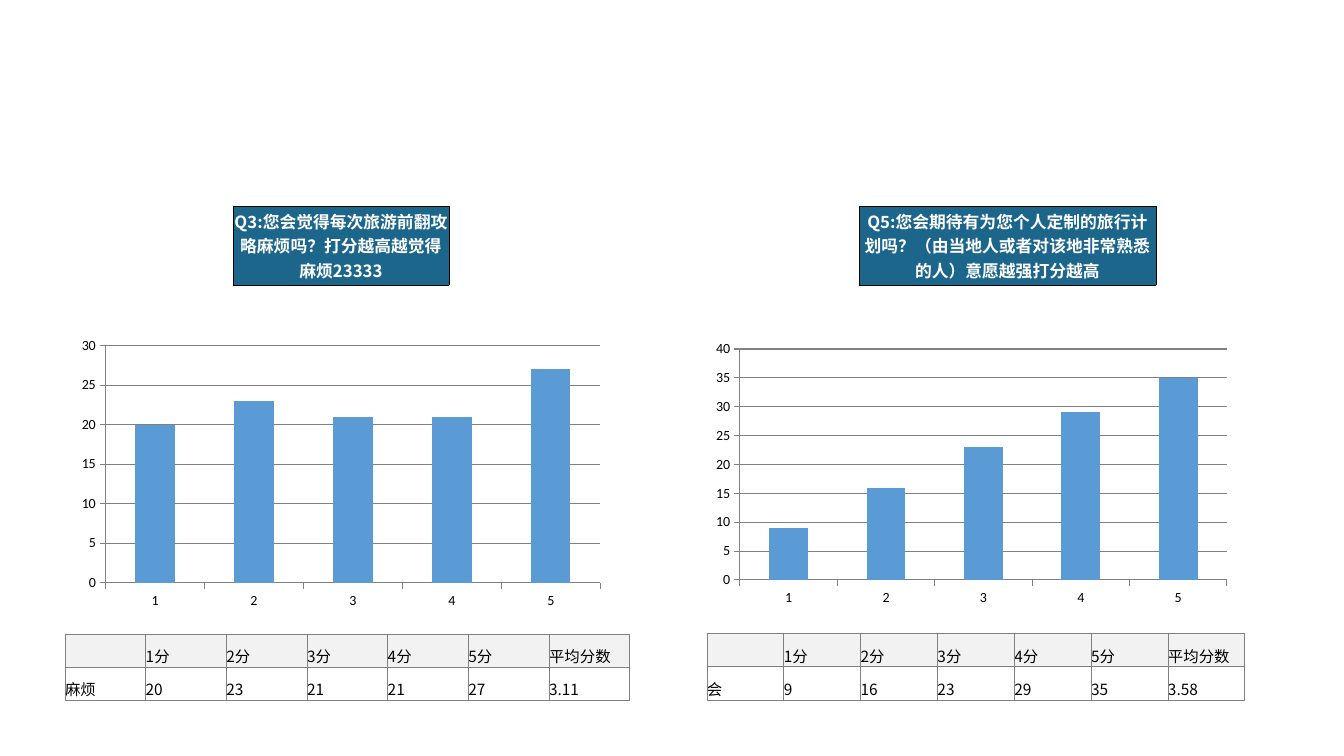
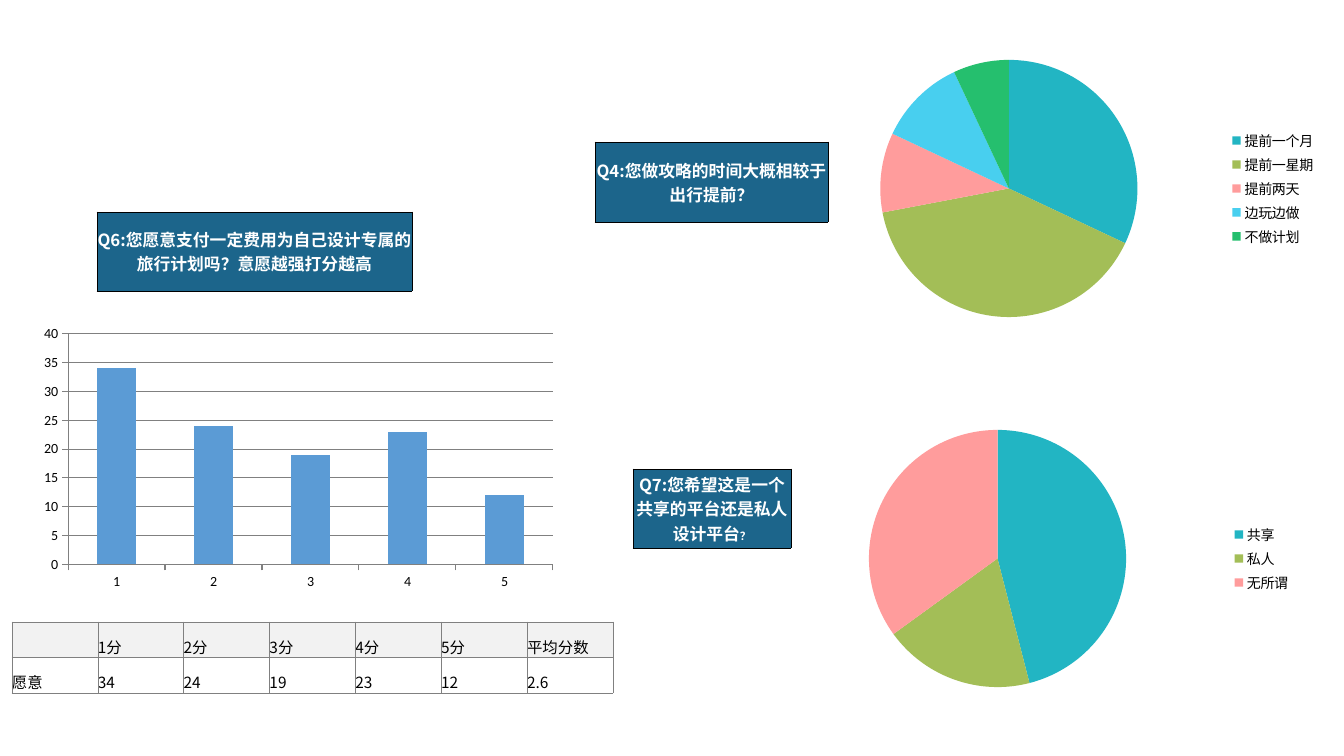
from dataclasses import dataclass
from typing import Optional

from lxml import etree
from pptx import Presentation
from pptx import util as u
from pptx.chart.data import CategoryChartData
from pptx.dml.color import RGBColor
from pptx.enum import chart as ch, text as tx
from pptx.oxml import ns

SCALE = 914400 / 100.8
SANS, LATIN = "Noto Sans CJK SC", "Calibri"
BLACK, WHITE, GRAY = "000000", "FFFFFF", "808080"
NAVY, PALE, BLUE = "1C658B", "F2F2F2", "5B9BD5"
SLICES = ["22B5C3", "A3BE57", "FF9C9C", "48CFEF", "25BF6E"]
HEADS = ["", "1分", "2分", "3分", "4分", "5分", "平均分数"]


@dataclass
class Box:
    """A rectangle in pixels."""
    x: int
    y: int
    w: int
    h: int


@dataclass
class Title:
    """A question in a filled box, with an optional small ending."""
    box: Box
    words: str
    tail: str = ""


@dataclass
class Score:
    """A question scored from 1 to 5: title, columns and table."""
    title: Title
    chart: Box
    grid: Box
    label: str
    votes: list[int]
    mean: str
    top: int
    plot: Optional[Box] = None


@dataclass
class Share:
    """A question answered by choice: title and pie."""
    title: Title
    chart: Box
    picks: dict[str, int]


SCORES = [
    [
        Score(Title(Box(233, 206, 216, 79),
                    "Q3:您会觉得每次旅游前翻攻略麻烦吗？打分越高越觉得麻烦23333"),
              Box(71, 332, 540, 282), Box(65, 634, 565, 66),
              "麻烦", [20, 23, 21, 21, 27], "3.11", 30),
        Score(Title(Box(859, 206, 297, 79),
                    "Q5:您会期待有为您个人定制的旅行计划吗？"
                    "（由当地人或者对该地非常熟悉的人）意愿越强打分越高"),
              Box(692, 321, 536, 285), Box(707, 633, 538, 67),
              "会", [9, 16, 23, 29, 35], "3.58", 40,
              Box(740, 349, 487, 231)),
    ],
    [
        Score(Title(Box(97, 212, 315, 79),
                    "Q6:您愿意支付一定费用为自己设计专属的旅行计划吗？意愿越强打分越高"),
              Box(44, 305, 536, 285), Box(12, 622, 601, 71),
              "愿意", [34, 24, 19, 23, 12], "2.6", 40,
              Box(68, 334, 485, 231)),
    ],
]
SHARES = [
    [],
    [
        Share(Title(Box(595, 142, 233, 80), "Q4:您做攻略的时间大概相较于出行提前？"),
              Box(790, 46, 536, 285),
              {"提前一个月": 32, "提前一星期": 40, "提前两天": 10,
               "边玩边做": 11, "不做计划": 7}),
        Share(Title(Box(633, 469, 158, 79),
                    "Q7:您希望这是一个共享的平台还是私人设计平台", "？"),
              Box(765, 416, 536, 285),
              {"共享": 46, "私人": 19, "无所谓": 35}),
    ],
]


def px(num: float) -> u.Emu:
    """Turn pixels into EMU."""
    return u.Emu(round(num * SCALE))


def place(box: Box) -> tuple:
    """Give left, top, width and height in EMU."""
    return px(box.x), px(box.y), px(box.w), px(box.h)


def tint(code: str) -> RGBColor:
    """Turn a hex string into a colour."""
    return RGBColor.from_string(code)


def style(run, size: float, code: str, bold: bool) -> None:
    """Format one run for both Latin and Chinese text."""
    font = run.font
    font.size, font.bold, font.name = u.Pt(size), bold, SANS
    font.color.rgb = tint(code)
    east = etree.SubElement(run._r.get_or_add_rPr(), ns.qn("a:ea"))
    east.set("typeface", SANS)


def edge(cell, code: str) -> None:
    """Draw a thin border on all four sides of a cell."""
    props = cell._tc.get_or_add_tcPr()
    for spot, side in enumerate("LRTB"):
        line = etree.Element(ns.qn(f"a:ln{side}"), w=str(u.Pt(0.5)))
        fill = etree.SubElement(line, ns.qn("a:solidFill"))
        etree.SubElement(fill, ns.qn("a:srgbClr"), val=code)
        props.insert(spot, line)


def add_grid(slide, box: Box, rows: int, cols: int):
    """Add a plain table with equal rows and columns."""
    table = slide.shapes.add_table(rows, cols, *place(box)).table
    table.first_row = table.horz_banding = False
    for row in table.rows:
        row.height = px(box.h / rows)
    for col in table.columns:
        col.width = px(box.w / cols)
    return table


def fill_cell(cell, words: str, back: Optional[str], line: str, anchor) -> None:
    """Set the text, fill, border and margins of a cell."""
    cell.margin_left = cell.margin_right = 0
    cell.margin_top = cell.margin_bottom = 0
    cell.vertical_anchor = anchor
    cell.text_frame.text = words
    if back:
        cell.fill.solid()
        cell.fill.fore_color.rgb = tint(back)
    else:
        cell.fill.background()
    edge(cell, line)


def add_title(slide, title: Title) -> None:
    """Draw a question as a table of one cell."""
    cell = add_grid(slide, title.box, 1, 1).cell(0, 0)
    fill_cell(cell, title.words, NAVY, BLACK, tx.MSO_ANCHOR.MIDDLE)
    para = cell.text_frame.paragraphs[0]
    para.alignment = tx.PP_ALIGN.CENTER
    style(para.runs[0], 12, WHITE, True)
    if title.tail:
        run = para.add_run()
        run.text = title.tail
        style(run, 8, WHITE, True)


def add_chart(slide, box: Box, kind, cats: list, vals: list):
    """Add a chart with one series and the shared font."""
    data = CategoryChartData()
    data.categories = cats
    data.add_series("Series 1", vals)
    chart = slide.shapes.add_chart(kind, *place(box), data).chart
    chart.has_title = chart.has_legend = False
    chart.font.size, chart.font.name = u.Pt(10), LATIN
    chart.font.color.rgb = tint(BLACK)
    return chart


def fix_plot(chart, box: Box, plot: Box) -> None:
    """Place the inner plot area of a chart."""
    area = chart._chartSpace.chart.plotArea
    for old in area.findall(ns.qn("c:layout")):
        area.remove(old)
    layout = etree.Element(ns.qn("c:layout"))
    area.insert(0, layout)
    manual = etree.SubElement(layout, ns.qn("c:manualLayout"))
    marks = {"layoutTarget": "inner", "xMode": "edge", "yMode": "edge",
             "x": (plot.x - box.x) / box.w, "y": (plot.y - box.y) / box.h,
             "w": plot.w / box.w, "h": plot.h / box.h}
    for name, val in marks.items():
        etree.SubElement(manual, ns.qn(f"c:{name}"), val=str(val))


def add_bars(slide, score: Score) -> None:
    """Draw the votes as columns."""
    cats = [str(num) for num in range(1, len(score.votes) + 1)]
    chart = add_chart(slide, score.chart, ch.XL_CHART_TYPE.COLUMN_CLUSTERED,
                      cats, score.votes)
    bars = chart.plots[0]
    bars.gap_width, bars.vary_by_categories = 150, False
    fill = bars.series[0].format.fill
    fill.solid()
    fill.fore_color.rgb = tint(BLUE)
    axis = chart.value_axis
    axis.minimum_scale, axis.maximum_scale, axis.major_unit = 0, score.top, 5
    axis.has_major_gridlines = True
    lines = [axis.major_gridlines.format.line]
    for each in (axis, chart.category_axis):
        each.major_tick_mark = ch.XL_TICK_MARK.OUTSIDE
        lines.append(each.format.line)
    for line in lines:
        line.width = u.Pt(0.75)
        line.color.rgb = tint(GRAY)
    if score.plot:
        fix_plot(chart, score.chart, score.plot)


def add_score(slide, score: Score) -> None:
    """Draw a scored question."""
    add_title(slide, score.title)
    add_bars(slide, score)
    body = [score.label, *map(str, score.votes), score.mean]
    table = add_grid(slide, score.grid, 2, len(HEADS))
    for row, (words, back) in enumerate([(HEADS, PALE), (body, None)]):
        for col, word in enumerate(words):
            cell = table.cell(row, col)
            fill_cell(cell, word, back, GRAY, tx.MSO_ANCHOR.BOTTOM)
            for run in cell.text_frame.paragraphs[0].runs:
                style(run, 11, BLACK, False)


def add_share(slide, share: Share) -> None:
    """Draw a question answered by choice."""
    add_title(slide, share.title)
    chart = add_chart(slide, share.chart, ch.XL_CHART_TYPE.PIE,
                      list(share.picks), list(share.picks.values()))
    chart.plots[0].vary_by_categories = True
    for spot, code in enumerate(SLICES[:len(share.picks)]):
        fill = chart.plots[0].series[0].points[spot].format.fill
        fill.solid()
        fill.fore_color.rgb = tint(code)
    chart.has_legend = True
    legend = chart.legend
    legend.position = ch.XL_LEGEND_POSITION.RIGHT
    legend.include_in_layout = False
    legend.font.size, legend.font.name = u.Pt(10), LATIN
    legend.font.color.rgb = tint(BLACK)


def main() -> None:
    """Build and save the slides."""
    deck = Presentation()
    deck.slide_width, deck.slide_height = px(1344), px(756)
    for scores, shares in zip(SCORES, SHARES):
        slide = deck.slides.add_slide(deck.slide_layouts[6])
        for score in scores:
            add_score(slide, score)
        for share in shares:
            add_share(slide, share)
    deck.save("out.pptx")


main()
